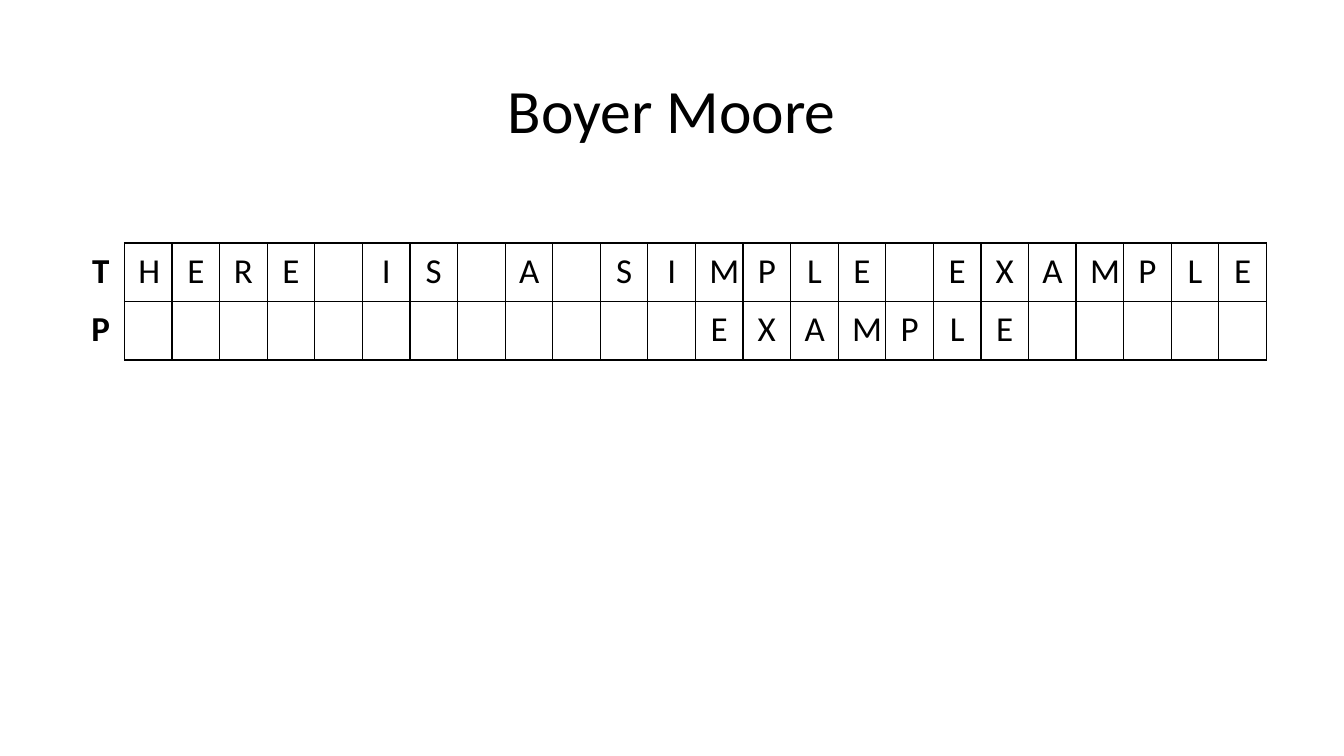
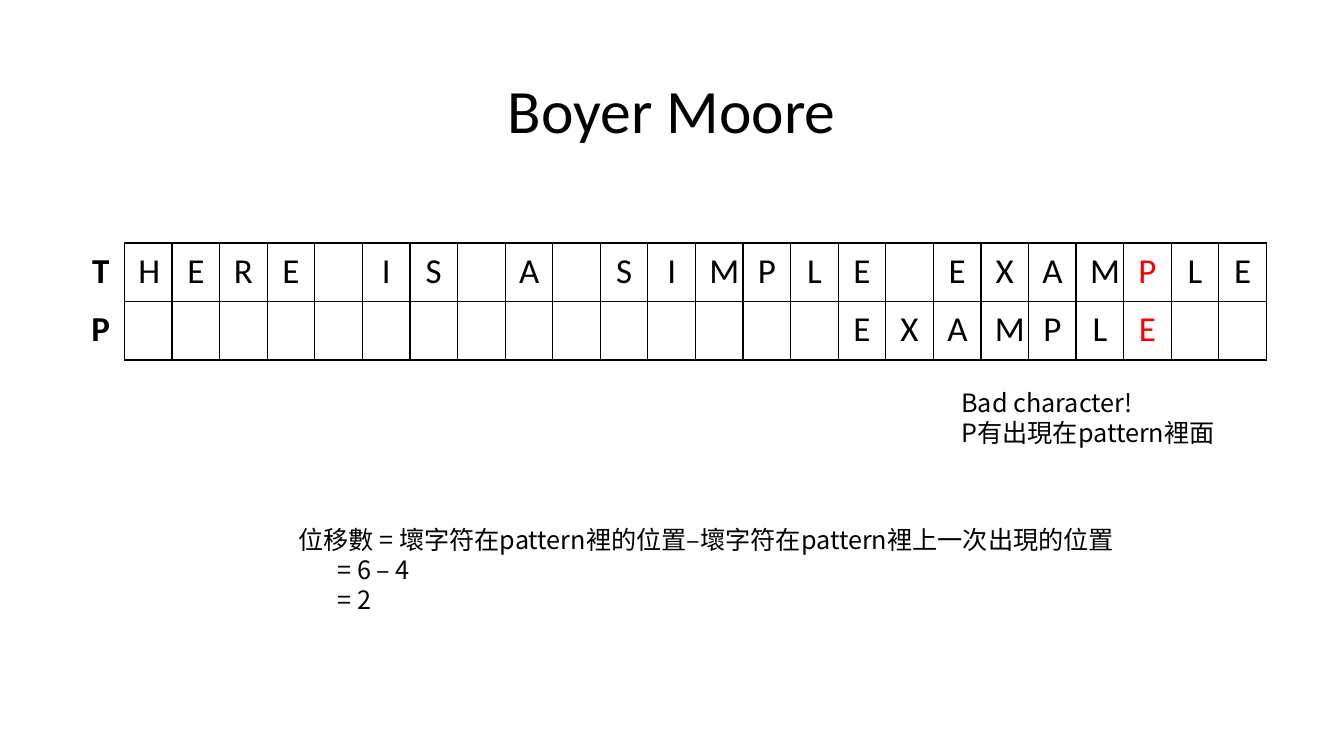
import pptx
import pptx.util
import pptx.dml.color
import pptx.enum.text
import pptx.oxml.ns
from lxml import etree

Pt = pptx.util.Pt
RGBColor = pptx.dml.color.RGBColor
ALIGN = pptx.enum.text.PP_ALIGN
ANCHOR = pptx.enum.text.MSO_ANCHOR
qn = pptx.oxml.ns.qn

BLACK = RGBColor(0, 0, 0)
RED = RGBColor(0xFF, 0, 0)
LATIN, CJK = "Calibri", "Noto Sans CJK SC"

# Content: offset of the pattern under the text, mismatch column, notes
TITLE = "Boyer Moore"
TEXT = "HERE IS A SIMPLE EXAMPLE"
PATTERN = "EXAMPLE"
SLIDES = [
    dict(offset=12, mismatch=None, notes=[]),
    dict(offset=15, mismatch=21, notes=[
        # box (left, top, width, height), then (line, indent)
        ((679.7, 272.9, 196.6, 51), [
            ("Bad character!", 0),
            ("P有出現在pattern裡面", 0)]),
        ((205.9, 370.8, 641.5, 73), [
            ("位移數 = 壞字符在pattern裡的位置–壞字符在pattern裡上一次出現的位置", 0),
            ("= 6 – 4", 28),
            ("= 2", 28)]),
    ]),
]

# Table geometry
TABLE_LEFT, TABLE_TOP = 54.9, 173.6
CELL_W, CELL_H = 34, 41.8


def write(p, text, size=18, font=LATIN, color=BLACK, bold=False,
          align=ALIGN.LEFT, spacing=None, indent=0):
    p.alignment = align
    if spacing:
        p.line_spacing = spacing
    if indent:
        p._p.get_or_add_pPr().set("marL", str(Pt(indent)))
    r = p.add_run()
    r.text = text
    r.font.size, r.font.name, r.font.bold = Pt(size), font, bold
    r.font.color.rgb = color
    if font == CJK:
        etree.SubElement(r._r.get_or_add_rPr(), qn("a:ea"), typeface=font)


def set_borders(cell, sides):
    tcPr = cell._tc.get_or_add_tcPr()
    for side in "LRTB":
        ln = etree.SubElement(tcPr, qn("a:ln" + side), w=str(Pt(1)))
        if side in sides:
            fill = etree.SubElement(ln, qn("a:solidFill"))
            etree.SubElement(fill, qn("a:srgbClr"), val=str(BLACK))
        else:
            etree.SubElement(ln, qn("a:noFill"))


def add_title(s):
    title = s.shapes.title
    title.left, title.top = Pt(66), Pt(28.8)
    title.width, title.height = Pt(828), Pt(104.4)
    tf = title.text_frame
    tf.vertical_anchor = ANCHOR.MIDDLE
    write(tf.paragraphs[0], TITLE, size=44, align=ALIGN.CENTER, spacing=0.9)


def add_alignment(s, offset, mismatch):
    rows = ["T" + TEXT, "P" + (" " * offset + PATTERN).ljust(len(TEXT))]
    cols = len(rows[0])
    table = s.shapes.add_table(
        len(rows), cols, Pt(TABLE_LEFT), Pt(TABLE_TOP),
        Pt(cols * CELL_W), Pt(len(rows) * CELL_H)).table
    table.first_row = table.horz_banding = False
    for column in table.columns:
        column.width = Pt(CELL_W)
    for i, letters in enumerate(rows):
        table.rows[i].height = Pt(CELL_H)
        for j, letter in enumerate(letters):
            cell = table.cell(i, j)
            set_borders(cell, "LRTB" if j else "R")
            cell.fill.background()
            cell.margin_left = cell.margin_right = Pt(10)
            cell.margin_top = cell.margin_bottom = Pt(5)
            if letter != " ":
                hit = mismatch is not None and j == mismatch + 1
                write(cell.text_frame.paragraphs[0], letter, size=25,
                      color=RED if hit else BLACK, bold=j == 0,
                      align=ALIGN.CENTER)


def add_note(s, box, lines):
    tf = s.shapes.add_textbox(*map(Pt, box)).text_frame
    tf.word_wrap = True
    for i, (text, indent) in enumerate(lines):
        p = tf.add_paragraph() if i else tf.paragraphs[0]
        write(p, text, font=CJK, spacing=Pt(21.6), indent=indent)


def main():
    prs = pptx.Presentation()
    prs.slide_width, prs.slide_height = Pt(960), Pt(540)
    for content in SLIDES:
        s = prs.slides.add_slide(prs.slide_layouts[5])
        add_title(s)
        add_alignment(s, content["offset"], content["mismatch"])
        for box, lines in content["notes"]:
            add_note(s, box, lines)
    prs.save("out.pptx")


if __name__ == "__main__":
    main()
